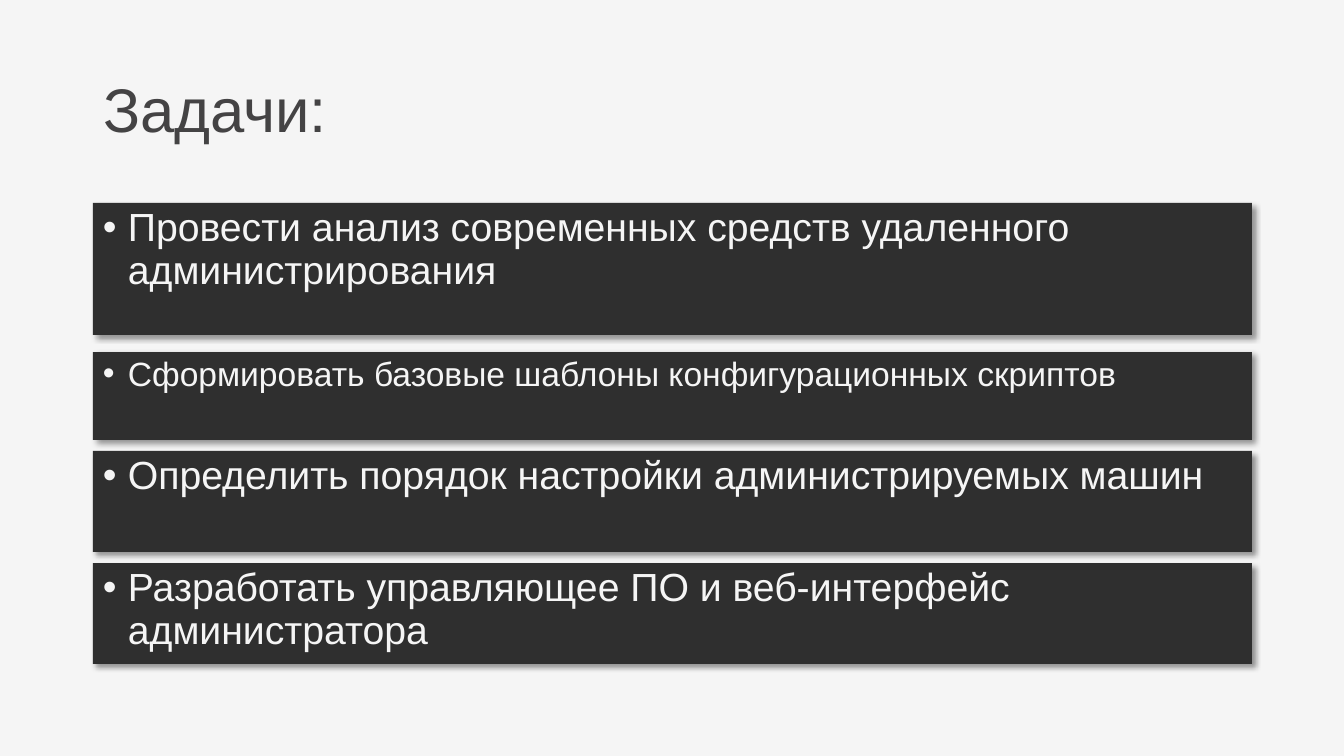
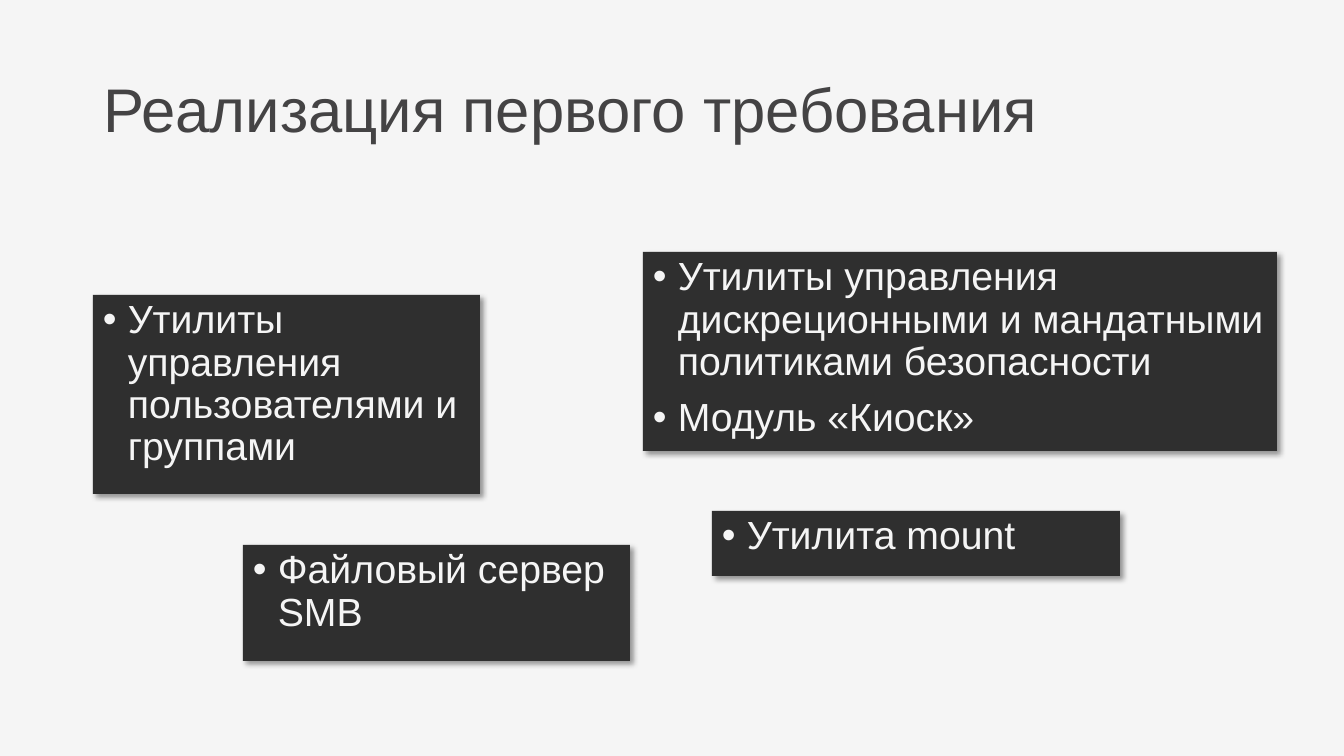
from lxml import etree
from pptx import Presentation
from pptx.dml.color import RGBColor
from pptx.enum import shapes, text
from pptx.oxml import parse_xml
from pptx.oxml.ns import nsdecls, qn
from pptx.util import Emu, Pt

COLORS = {"background": "F5F5F5", "title": "444344", "card": "2F2F2F",
          "card_text": "F5F5F5", "shadow": "000000"}
FONT = "Arial"
EMU_PER_PX = 914400 / 100.8
SLIDE_SIZE = (1344, 756)
LEFT, FULL_WIDTH = 93, 1159
TITLE_BOX = (LEFT, 40, FULL_WIDTH, 146)
TITLE_SIZE, CARD_SIZE = 44, 28
INDENT = 25

# Cards: box in px (left, top, width, height), text size, bullet points
SLIDES = [
    ("Задачи:", [
        ((LEFT, 203, FULL_WIDTH, 132), CARD_SIZE,
         ["Провести анализ современных средств удаленного администрирования"]),
        ((LEFT, 352, FULL_WIDTH, 88), 24,
         ["Сформировать базовые шаблоны конфигурационных скриптов"]),
        ((LEFT, 451, FULL_WIDTH, 101), CARD_SIZE,
         ["Определить порядок настройки администрируемых машин"]),
        ((LEFT, 563, FULL_WIDTH, 101), CARD_SIZE,
         ["Разработать управляющее ПО и веб-интерфейс администратора"]),
    ]),
    ("Реализация первого требования", [
        ((LEFT, 295, 387, 199), CARD_SIZE,
         ["Утилиты управления пользователями и группами"]),
        ((643, 252, 634, 199), CARD_SIZE,
         ["Утилиты управления дискреционными и мандатными политиками безопасности",
          "Модуль «Киоск»"]),
        ((243, 545, 387, 116), CARD_SIZE, ["Файловый сервер SMB"]),
        ((712, 511, 408, 65), CARD_SIZE, ["Утилита mount"]),
    ]),
]


def px(length):
    return Emu(round(length * EMU_PER_PX))


def color(name):
    return RGBColor.from_string(COLORS[name])


def style_paragraph(paragraph, size, color_name):
    paragraph.alignment = text.PP_ALIGN.LEFT
    paragraph.line_spacing = 0.9
    for run in paragraph.runs:
        run.font.name = FONT
        run.font.size = Pt(size)
        run.font.color.rgb = color(color_name)


def add_bullet(paragraph):
    properties = paragraph._p.get_or_add_pPr()
    properties.set("marL", str(px(INDENT)))
    properties.set("indent", str(-px(INDENT)))
    etree.SubElement(properties, qn("a:buFont")).set("typeface", FONT)
    etree.SubElement(properties, qn("a:buChar")).set("char", "•")


def add_shadow(shape):
    shape._element.spPr.append(parse_xml(
        f'<a:effectLst {nsdecls("a")}>'
        f'<a:outerShdw blurRad="{Pt(4)}" dist="{Pt(3)}" dir="2700000" algn="tl" rotWithShape="0">'
        f'<a:srgbClr val="{COLORS["shadow"]}"><a:alpha val="40000"/></a:srgbClr>'
        '</a:outerShdw></a:effectLst>'))


def add_title(slide, wording):
    title = slide.shapes.title
    title.left, title.top, title.width, title.height = map(px, TITLE_BOX)
    title.text_frame.text = wording
    title.text_frame.vertical_anchor = text.MSO_ANCHOR.MIDDLE
    style_paragraph(title.text_frame.paragraphs[0], TITLE_SIZE, "title")


def add_card(slide, box, size, points):
    card = slide.shapes.add_shape(shapes.MSO_SHAPE.RECTANGLE, *map(px, box))
    card.fill.solid()
    card.fill.fore_color.rgb = color("card")
    card.line.fill.background()
    add_shadow(card)
    frame = card.text_frame
    frame.word_wrap = True
    frame.vertical_anchor = text.MSO_ANCHOR.TOP
    frame.text = "\n".join(points)
    for paragraph in frame.paragraphs:
        style_paragraph(paragraph, size, "card_text")
        paragraph.space_before = Pt(10)
        add_bullet(paragraph)


def main():
    prs = Presentation()
    prs.slide_width, prs.slide_height = map(px, SLIDE_SIZE)

    # Shared background
    background = prs.slide_master.background.fill
    background.solid()
    background.fore_color.rgb = color("background")

    # Slides
    title_only = prs.slide_layouts[5]
    for title, cards in SLIDES:
        slide = prs.slides.add_slide(title_only)
        add_title(slide, title)
        for card in cards:
            add_card(slide, *card)
    prs.save("out.pptx")


if __name__ == "__main__":
    main()
